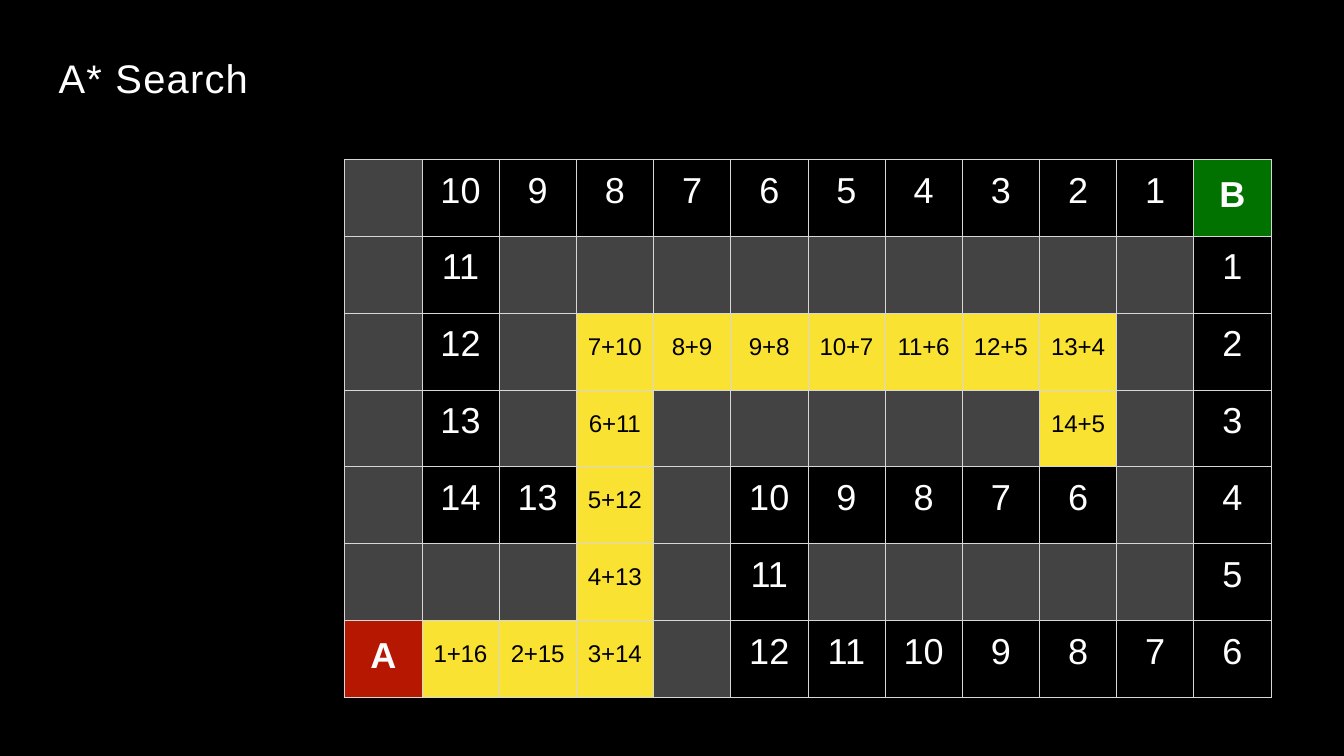
from lxml.etree import SubElement
from pptx import Presentation
from pptx.dml.color import RGBColor
from pptx.enum.text import MSO_ANCHOR, MSO_AUTO_SIZE, PP_ALIGN
from pptx.oxml.ns import qn
from pptx.util import Inches, Pt

CENTER, LEFT = PP_ALIGN.CENTER, PP_ALIGN.LEFT
TOP = MSO_ANCHOR.TOP
GROW = MSO_AUTO_SIZE.SHAPE_TO_FIT_TEXT
TITLE_ONLY = 5
FONT = "Arial"

COLORS = {
    "black": "000000",
    "white": "FFFFFF",
    "wall": "434343",
    "path": "FAE232",
    "start": "B51700",
    "goal": "017100",
    "border": "D6D7D6",
}

# Kind of cell: fill, text colour, size, bold, top margin, letter spacing
CELL_STYLES = {
    "wall": ("wall", "white", 18, False, 0, 0),
    "open": ("black", "white", 42.5, False, 0.18, 0),
    "path": ("path", "black", 28.5, False, 0.33, -0.2),
    "start": ("start", "white", 42.5, True, 0.25, 0),
    "goal": ("goal", "white", 42.5, True, 0.25, 0),
}

# The maze: # is a wall, cost+distance is on the explored path
MAZE = [
    "#  10   9    8    7   6   5    4    3    2    1 B",
    "#  11   #    #    #   #   #    #    #    #    # 1",
    "#  12   #    7+10 8+9 9+8 10+7 11+6 12+5 13+4 # 2",
    "#  13   #    6+11 #   #   #    #    #    14+5 # 3",
    "#  14   13   5+12 #   10  9    8    7    6    # 4",
    "#  #    #    4+13 #   11  #    #    #    #    # 5",
    "A  1+16 2+15 3+14 #   12  11   10   9    8    7 6",
]


def color(name):
    return RGBColor.from_string(COLORS[name])


def format_span(span, size, color_name, bold=False, spacing=0):
    span.font.name = FONT
    span.font.size = Pt(size)
    span.font.bold = bold
    span.font.color.rgb = color(color_name)
    span.font._element.set("spc", str(round(spacing * 100)))


def add_title(page, text):
    title = page.shapes.title
    title.left, title.top = Inches(0.96), Inches(0.86)
    title.width, title.height = Inches(3.15), Inches(0.81)
    frame = title.text_frame
    frame.text = text
    frame.word_wrap = True
    frame.auto_size = GROW
    frame.vertical_anchor = TOP
    frame.margin_left = frame.margin_right = frame.margin_bottom = 0
    frame.margin_top = Inches(0.01)
    para = frame.paragraphs[0]
    para.alignment = LEFT
    para.line_spacing = 1.0
    format_span(para.runs[0], 47, "white", spacing=1.45)


def cell_kind(value):
    if "+" in value:
        return "path"
    return {"#": "wall", "A": "start", "B": "goal"}.get(value, "open")


def add_borders(cell):
    properties = cell._tc.get_or_add_tcPr()
    for side in ("a:lnL", "a:lnR", "a:lnT", "a:lnB"):
        line = SubElement(properties, qn(side), w=str(Pt(1)))
        fill = SubElement(line, qn("a:solidFill"))
        SubElement(fill, qn("a:srgbClr"), val=COLORS["border"])


def fill_cell(cell, value):
    kind = cell_kind(value)
    fill, text_color, size, bold, margin_top, spacing = CELL_STYLES[kind]
    add_borders(cell)
    cell.fill.solid()
    cell.fill.fore_color.rgb = color(fill)
    cell.margin_left = cell.margin_right = cell.margin_bottom = 0
    cell.margin_top = Inches(margin_top)
    cell.vertical_anchor = TOP
    if kind != "wall":
        para = cell.text_frame.paragraphs[0]
        para.text = value
        para.alignment = CENTER
        format_span(para.runs[0], size, text_color, bold, spacing)


def add_maze(page, rows):
    grid = [row.split() for row in rows]
    table = page.shapes.add_table(
        len(grid), len(grid[0]),
        Inches(5.64), Inches(2.61), Inches(15.16), Inches(8.8)).table
    table.first_row = table.horz_banding = False
    for row_index, values in enumerate(grid):
        for column_index, value in enumerate(values):
            fill_cell(table.cell(row_index, column_index), value)


def main():
    deck = Presentation()
    deck.slide_width, deck.slide_height = Inches(21.99), Inches(12.37)
    page = deck.slides.add_slide(deck.slide_layouts[TITLE_ONLY])

    # Black page
    page.background.fill.solid()
    page.background.fill.fore_color.rgb = color("black")

    # Maze under the title
    add_maze(page, MAZE)
    add_title(page, "A* Search")

    deck.save("out.pptx")


if __name__ == "__main__":
    main()
